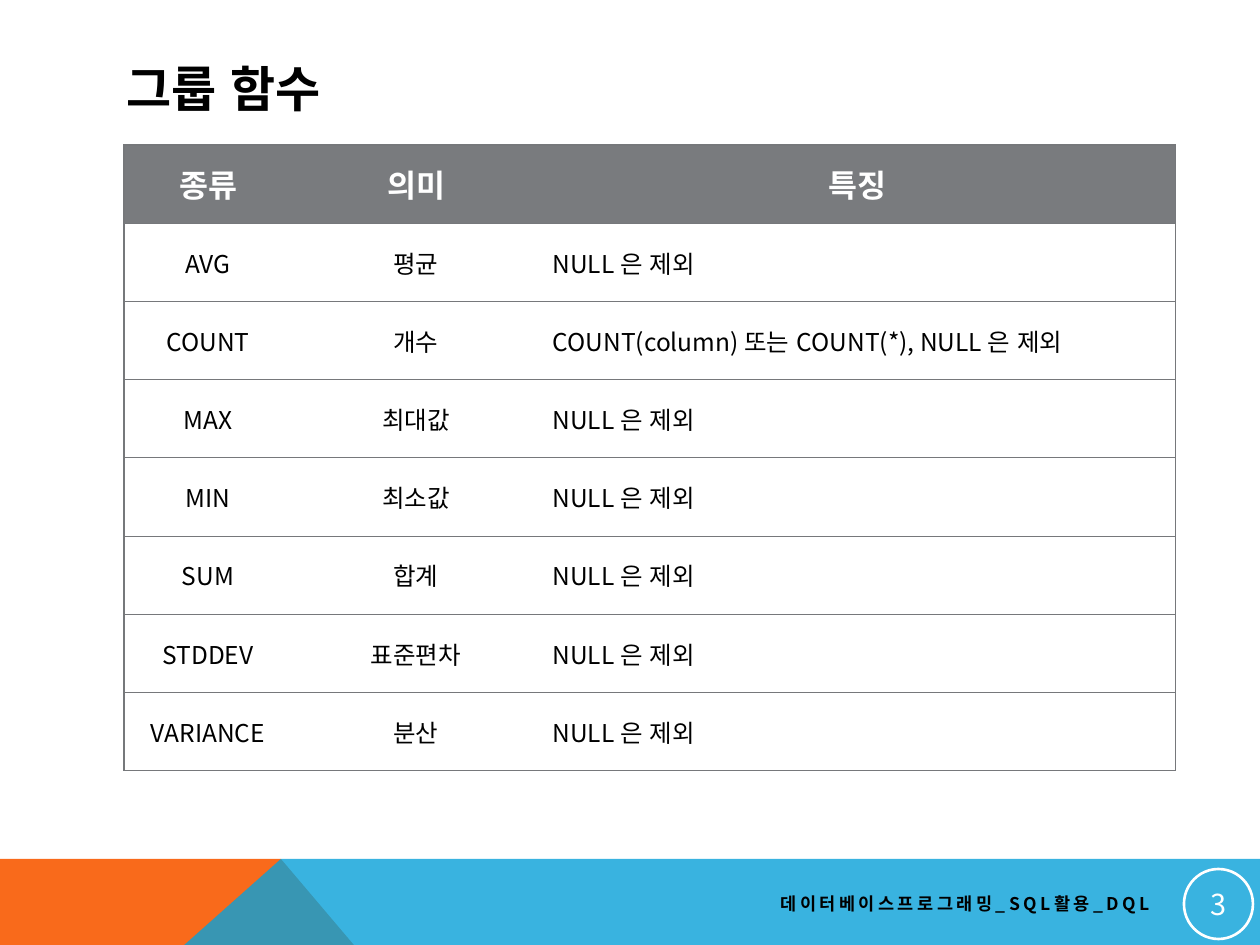
from dataclasses import dataclass

from lxml import etree
from pptx import Presentation, util as u
from pptx.dml.color import RGBColor
from pptx.enum import lang, shapes, text
from pptx.oxml import ns

PX = 914400 // 126
FONT = "Noto Sans CJK KR"
BLACK = RGBColor(0x00, 0x00, 0x00)
WHITE = RGBColor(0xFF, 0xFF, 0xFF)
ORANGE = RGBColor(0xF9, 0x6A, 0x1B)
BLUE = RGBColor(0x08, 0xA1, 0xD9)
HEADER_GRAY = RGBColor(0x79, 0x7B, 0x7E)
RULE_GRAY = RGBColor(0x76, 0x78, 0x7B)
LEFT, CENTER, RIGHT = text.PP_ALIGN.LEFT, text.PP_ALIGN.CENTER, text.PP_ALIGN.RIGHT


@dataclass(frozen=True)
class Style:
    size: float
    color: RGBColor = BLACK
    bold: bool = False
    align: text.PP_ALIGN = LEFT
    spacing: int = 0  # hundredths of a point


@dataclass(frozen=True)
class Label:
    words: str
    box: tuple[int, int, int, int]
    style: Style


@dataclass(frozen=True)
class Band:
    points: list[tuple[int, int]]
    color: RGBColor
    opacity: int = 100


@dataclass(frozen=True)
class GroupFunction:
    name: str
    meaning: str
    feature: str = "NULL 은 제외"


LABELS = [
    Label("그룹 함수", (114, 50, 1036, 76), Style(28, bold=True)),
    Label("데이터베이스프로그래밍_SQL활용_DQL", (511, 885, 651, 38),
          Style(10, bold=True, align=RIGHT, spacing=200)),
]
# Both bands bleed past the bottom edge
BANDS = [
    Band([(0, 1109), (0, 859), (281, 859), (493, 1109)], ORANGE),
    Band([(0, 1109), (281, 859), (1260, 859), (1260, 1109)], BLUE, 80),
]
HEADINGS = GroupFunction("종류", "의미", "특징")
FUNCTIONS = [
    GroupFunction("AVG", "평균"),
    GroupFunction("COUNT", "개수", "COUNT(column) 또는 COUNT(*), NULL 은 제외"),
    GroupFunction("MAX", "최대값"),
    GroupFunction("MIN", "최소값"),
    GroupFunction("SUM", "합계"),
    GroupFunction("STDDEV", "표준편차"),
    GroupFunction("VARIANCE", "분산"),
]
COLUMN_WIDTHS = [168, 248, 636]
TABLE_HEIGHT = 626


def px(*lengths: int) -> list[u.Emu]:
    return [u.Emu(n * PX) for n in lengths]


def write(tf, words: str, style: Style) -> None:
    tf.text = words
    p = tf.paragraphs[0]
    p.alignment = style.align
    r = p.runs[0]
    r.font.size = u.Pt(style.size)
    r.font.bold = style.bold
    r.font.color.rgb = style.color
    r.font.name = FONT
    r.font.language_id = lang.MSO_LANGUAGE_ID.KOREAN
    rPr = r.font._element
    rPr.set("kern", "0")
    etree.SubElement(rPr, ns.qn("a:ea"), typeface=FONT)
    if style.spacing:
        rPr.set("spc", str(style.spacing))


def add_band(s, band: Band) -> None:
    builder = s.shapes.build_freeform(*band.points[0], scale=PX)
    builder.add_line_segments(band.points[1:], close=True)
    sp = builder.convert_to_shape()
    sp.shadow.inherit = False
    sp.line.fill.background()
    sp.fill.solid()
    sp.fill.fore_color.rgb = band.color
    if band.opacity < 100:
        color = sp._element.spPr.find(".//" + ns.qn("a:srgbClr"))
        etree.SubElement(color, ns.qn("a:alpha"), val=str(band.opacity * 1000))


def add_label(s, label: Label) -> None:
    tf = s.shapes.add_textbox(*px(*label.box)).text_frame
    tf.word_wrap = True
    tf.vertical_anchor = text.MSO_ANCHOR.MIDDLE
    write(tf, label.words, label.style)


def add_page_number(s, number: int) -> None:
    sp = s.shapes.add_shape(shapes.MSO_SHAPE.OVAL, *px(1184, 869, 69, 70))
    sp.shadow.inherit = False
    sp.fill.background()
    sp.line.color.rgb = WHITE
    sp.line.width = u.Pt(1.5)
    tf = sp.text_frame
    tf.margin_left = tf.margin_right = tf.margin_top = tf.margin_bottom = u.Inches(0.01)
    tf.vertical_anchor = text.MSO_ANCHOR.MIDDLE
    write(tf, str(number), Style(16.5, WHITE, align=CENTER))


def set_borders(cell, ruled: str) -> None:
    """Rule the named sides (L, R, T, B) and clear the others."""
    tcPr = cell._tc.get_or_add_tcPr()
    for i, side in enumerate("LRTB"):
        ln = etree.Element(ns.qn(f"a:ln{side}"), w=str(u.Pt(0.75)))
        if side in ruled:
            fill = etree.SubElement(ln, ns.qn("a:solidFill"))
            etree.SubElement(fill, ns.qn("a:srgbClr"), val=str(RULE_GRAY))
        else:
            etree.SubElement(ln, ns.qn("a:noFill"))
        tcPr.insert(i, ln)


def add_function_table(s) -> None:
    rows = [HEADINGS, *FUNCTIONS]
    frame = s.shapes.add_table(len(rows), len(COLUMN_WIDTHS),
                               *px(124, 145, sum(COLUMN_WIDTHS), TABLE_HEIGHT))
    table = frame.table
    table.horz_banding = False
    for column, width in zip(table.columns, COLUMN_WIDTHS):
        column.width = u.Emu(width * PX)
    for i, row in enumerate(rows):
        table.rows[i].height = u.Emu(TABLE_HEIGHT * PX // len(rows))
        header = i == 0
        for j, words in enumerate((row.name, row.meaning, row.feature)):
            cell = table.cell(i, j)
            cell.vertical_anchor = text.MSO_ANCHOR.MIDDLE
            cell.fill.solid()
            cell.fill.fore_color.rgb = HEADER_GRAY if header else WHITE
            set_borders(cell, "TB" + ("L", "", "R")[j])
            align = CENTER if header or j < 2 else LEFT
            style = Style(18, WHITE, True, align) if header else Style(14, align=align)
            write(cell.text_frame, words, style)


prs = Presentation()
prs.slide_width, prs.slide_height = px(1260, 945)
s = prs.slides.add_slide(prs.slide_layouts[6])

# Footer bands
for band in BANDS:
    add_band(s, band)

# Title and footer text
for label in LABELS:
    add_label(s, label)
add_page_number(s, 3)

# Group functions
add_function_table(s)

prs.save("out.pptx")
